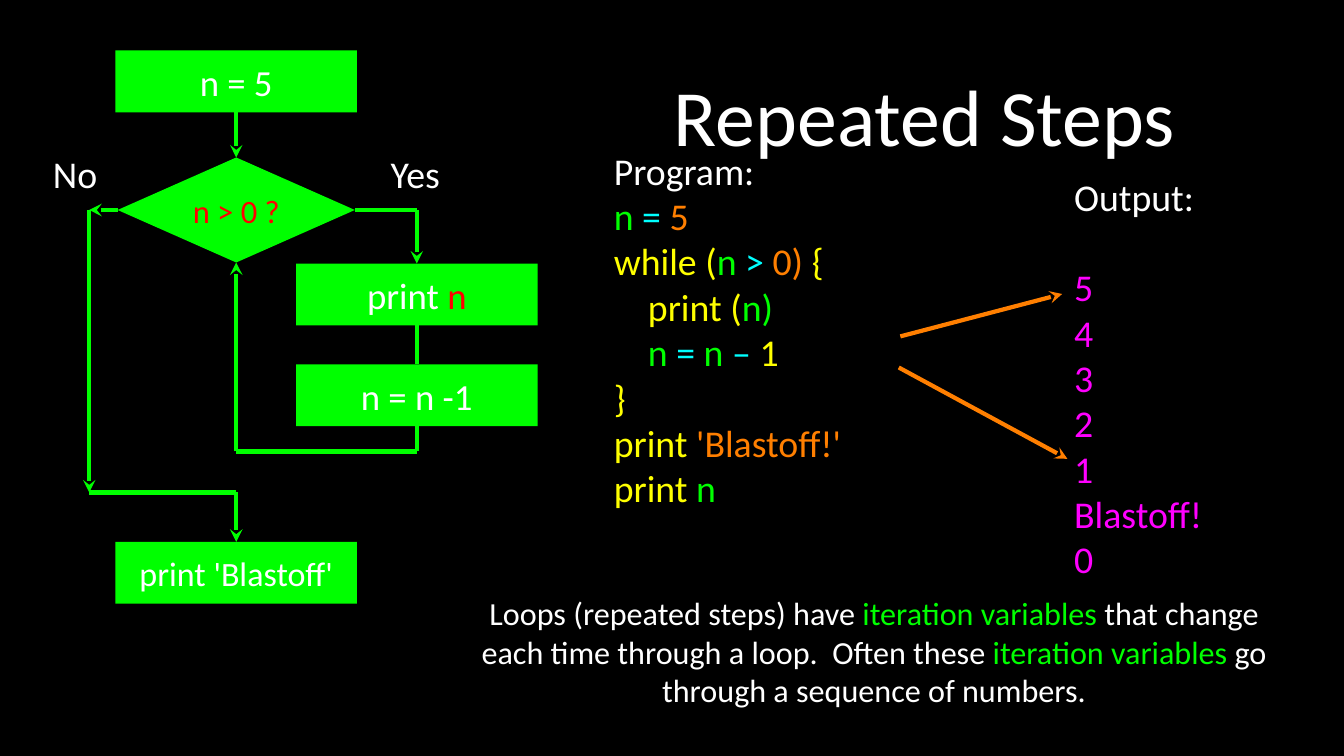
from lxml import etree
from pptx import Presentation
from pptx.dml.color import RGBColor
from pptx.enum.shapes import MSO_CONNECTOR, MSO_SHAPE
from pptx.enum.text import MSO_ANCHOR, PP_ALIGN
from pptx.oxml.ns import qn
from pptx.util import Pt

RECTANGLE, DIAMOND = MSO_SHAPE.RECTANGLE, MSO_SHAPE.DIAMOND
STRAIGHT = MSO_CONNECTOR.STRAIGHT
LEFT, CENTER = PP_ALIGN.LEFT, PP_ALIGN.CENTER
TOP, MIDDLE = MSO_ANCHOR.TOP, MSO_ANCHOR.MIDDLE
TOP_SIDE, LEFT_SIDE, BOTTOM_SIDE, RIGHT_SIDE = range(4)

BLACK = RGBColor(0, 0, 0)
WHITE = RGBColor(255, 255, 255)
GREEN = RGBColor(0, 255, 0)
CYAN = RGBColor(0, 255, 255)
ORANGE = RGBColor(255, 127, 0)
YELLOW = RGBColor(255, 255, 0)
MAGENTA = RGBColor(255, 0, 255)
RED = RGBColor(255, 0, 0)


class LoopSlide:
    font = "Calibri"
    line_width = Pt(4)
    step_size = (230, 59)

    def __init__(self, presentation):
        self.slide = presentation.slides.add_slide(presentation.slide_layouts[6])
        fill = self.slide.background.fill
        fill.solid()
        fill.fore_color.rgb = BLACK

    def fill_text(self, frame, lines, size, align, anchor):
        frame.word_wrap = True
        frame.vertical_anchor = anchor
        frame.margin_left = frame.margin_right = 0
        frame.margin_top = frame.margin_bottom = 0
        for number, line in enumerate(lines):
            paragraph = frame.add_paragraph() if number else frame.paragraphs[0]
            paragraph.alignment = align
            for words, color in line:
                run = paragraph.add_run()
                run.text = words
                run.font.name = self.font
                run.font.size = Pt(size)
                run.font.color.rgb = color

    def text(self, box, lines, size=36, align=CENTER, anchor=MIDDLE):
        frame = self.slide.shapes.add_textbox(*map(Pt, box)).text_frame
        self.fill_text(frame, lines, size, align, anchor)
        return frame

    def node(self, kind, box, line, size):
        shape = self.slide.shapes.add_shape(kind, *map(Pt, box))
        shape.shadow.inherit = False
        shape.fill.solid()
        shape.fill.fore_color.rgb = GREEN
        shape.line.fill.background()
        self.fill_text(shape.text_frame, [line], size, CENTER, MIDDLE)
        return shape

    def step(self, left, top, line, size=35):
        return self.node(RECTANGLE, (left, top, *self.step_size), line, size)

    def line(self, start, end, color=GREEN, arrow=True, start_side=None, end_side=None):
        begin_point = start if start_side is None else (0, 0)
        end_point = end if end_side is None else (0, 0)
        connector = self.slide.shapes.add_connector(
            STRAIGHT, *map(Pt, begin_point + end_point))
        if start_side is not None:
            connector.begin_connect(start, start_side)
        if end_side is not None:
            connector.end_connect(end, end_side)
        connector.line.color.rgb = color
        connector.line.width = self.line_width
        properties = connector.element.spPr
        if arrow:
            outline = properties.find(qn("a:ln"))
            etree.SubElement(outline, qn("a:tailEnd"), type="stealth")
        etree.SubElement(properties, qn("a:effectLst"))


def draw_flowchart(page):
    main_left, body_left = 110, 282
    half_step = page.step_size[0] / 2
    main_x, body_x, exit_x = main_left + half_step, body_left + half_step, 85
    test_y, repeat_y, exit_y = 200, 430, 469

    start = page.step(main_left, 48, [("n = 5", WHITE)])
    test = page.node(DIAMOND, (main_x - 113, test_y - 50, 226, 100),
                     [("n > 0 ?", RED)], 31)
    show = page.step(body_left, 251, [("print ", WHITE), ("n", RED)])
    decrease = page.step(body_left, 347, [("n = n -1", WHITE)])
    finish = page.step(main_left, 516, [("print 'Blastoff'", WHITE)], 32.4)

    page.line(start, test, start_side=BOTTOM_SIDE, end_side=TOP_SIDE)
    page.line(test, (body_x, test_y), arrow=False, start_side=RIGHT_SIDE)
    page.line((body_x, test_y), show, end_side=TOP_SIDE)
    page.line(show, decrease, arrow=False, start_side=BOTTOM_SIDE, end_side=TOP_SIDE)
    page.line(decrease, (body_x, repeat_y), arrow=False, start_side=BOTTOM_SIDE)
    page.line((body_x, repeat_y), (main_x, repeat_y), arrow=False)
    page.line((main_x, repeat_y), test, end_side=BOTTOM_SIDE)
    page.line(test, (exit_x, test_y), start_side=LEFT_SIDE)
    page.line((exit_x, test_y), (exit_x, exit_y))
    page.line((exit_x, exit_y), (main_x, exit_y), arrow=False)
    page.line((main_x, exit_y), finish, end_side=TOP_SIDE)

    page.text((47, 144, 49, 43), [[("No", WHITE)]])
    page.text((366, 144, 59, 43), [[("Yes", WHITE)]])


def draw_program(page):
    program = [
        [("Program:", WHITE)],
        [("n ", GREEN), ("= ", CYAN), ("5", ORANGE)],
        [("while (", YELLOW), ("n ", GREEN), ("> ", CYAN), ("0)", ORANGE), (" {", YELLOW)],
        [("    print (", YELLOW), ("n)", GREEN)],
        [("    ", YELLOW), ("n ", GREEN), ("= ", CYAN), ("n ", GREEN),
         ("–", CYAN), (" 1", YELLOW)],
        [("}", YELLOW)],
        [("print ", YELLOW), ("'Blastoff!'", ORANGE)],
        [("print ", YELLOW), ("n", GREEN)],
    ]
    page.text((584.6, 140.4, 246, 389), program, align=LEFT, anchor=TOP)

    printed = ["5", "4", "3", "2", "1", "Blastoff!", "0"]
    output = page.text((1023, 165, 149, 389),
                       [[("Output:", WHITE)]] + [[(value, MAGENTA)] for value in printed],
                       align=LEFT, anchor=TOP)
    output.paragraphs[1].space_before = Pt(43.2)

    page.line((857.5, 320.4), (1011.6, 280), ORANGE)
    page.line((856, 350), (1016.6, 437), ORANGE)


def main():
    presentation = Presentation()
    presentation.slide_width, presentation.slide_height = Pt(1280), Pt(720)
    page = LoopSlide(presentation)
    page.text((573, 18.7, 615, 181), [[("Repeated Steps", WHITE)]], 76)
    draw_flowchart(page)
    draw_program(page)
    page.text((433.4, 555, 798, 131), [[
        ("Loops (repeated steps) have ", WHITE),
        ("iteration variables ", GREEN),
        ("that change each time through a loop.  Often these ", WHITE),
        ("iteration variables ", GREEN),
        ("go through a sequence of numbers.", WHITE),
    ]], 30.6)
    presentation.save("out.pptx")


if __name__ == "__main__":
    main()
